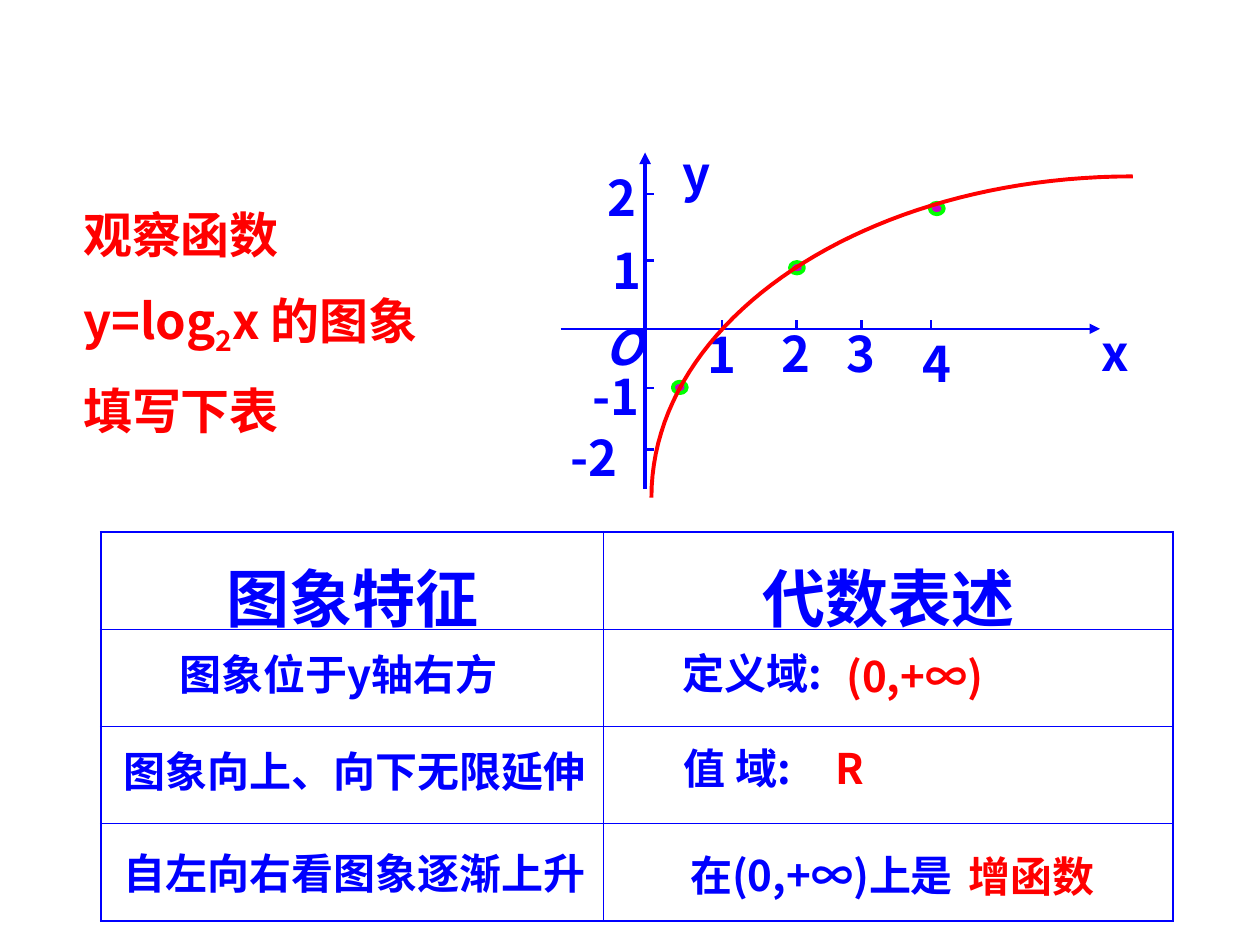
from lxml.etree import SubElement
from pptx import Presentation
from pptx.dml.color import RGBColor
from pptx.enum.shapes import MSO_CONNECTOR, MSO_SHAPE
from pptx.enum.text import MSO_ANCHOR, MSO_AUTO_SIZE, PP_ALIGN
from pptx.oxml.ns import qn
from pptx.util import Inches, Pt

COLORS = {"blue": "0000FF", "red": "FF0000", "green": "00FF00", "purple": "CC00CC"}
FONT = "Noto Sans CJK SC"
ORIGIN_X, ORIGIN_Y = 5.12, 2.61
TICK = 0.07


def rgb(name):
    """Return the named palette colour."""
    return RGBColor.from_string(COLORS[name])


def style_runs(paragraph, size, color, italic=False):
    """Format every run of a paragraph in the slide's bold typeface."""
    for run in paragraph.runs:
        run.font.size = Pt(size)
        run.font.bold = True
        run.font.italic = italic
        run.font.color.rgb = rgb(color)
        run.font.name = FONT
        SubElement(run.font._element, qn("a:ea"), typeface=FONT)


def add_task(slide):
    """Fill the title with the task and its logarithm subscript."""
    task = slide.shapes.title
    task.left, task.top = Inches(0.56), Inches(1.39)
    task.width, task.height = Inches(3.15), Inches(2.15)
    frame = task.text_frame
    frame.text = "观察函数\vy=log"
    frame.word_wrap = True
    frame.auto_size = MSO_AUTO_SIZE.NONE
    frame.vertical_anchor = MSO_ANCHOR.TOP
    paragraph = frame.paragraphs[0]
    paragraph.alignment = PP_ALIGN.LEFT
    paragraph.line_spacing = 1.4
    base = paragraph.add_run()
    base.text = "2"
    paragraph.add_run().text = "x 的图象"
    paragraph.add_line_break()
    paragraph.add_run().text = "填写下表"
    style_runs(paragraph, 28, "red")
    base.font._element.set("baseline", "-25000")


def add_label(slide, text, left, top, width, size=28, color="blue",
              align=PP_ALIGN.LEFT, italic=False):
    """Add a one-line text box."""
    height = 0.57 if size == 28 else 0.5
    label = slide.shapes.add_textbox(Inches(left), Inches(top), Inches(width), Inches(height))
    frame = label.text_frame
    frame.text = text
    frame.word_wrap = True
    frame.auto_size = MSO_AUTO_SIZE.SHAPE_TO_FIT_TEXT
    frame.paragraphs[0].alignment = align
    style_runs(frame.paragraphs[0], size, color, italic)


def add_line(slide, start, end, weight=1.5, arrow=False):
    """Add a straight blue line, with an arrowhead at its end if wanted."""
    line = slide.shapes.add_connector(
        MSO_CONNECTOR.STRAIGHT, *(Inches(value) for value in (*start, *end)))
    line.line.color.rgb = rgb("blue")
    line.line.width = Pt(weight)
    if arrow:
        SubElement(line.line._get_or_add_ln(), qn("a:tailEnd"), type="triangle")
    SubElement(line._element.spPr, qn("a:effectLst"))


def add_point(slide, left, top):
    """Mark a point of the graph."""
    point = slide.shapes.add_shape(
        MSO_SHAPE.OVAL, Inches(left), Inches(top), Inches(0.11), Inches(0.09))
    point.shadow.inherit = False
    point.fill.solid()
    point.fill.fore_color.rgb = rgb("purple")
    point.line.color.rgb = rgb("green")
    point.line.width = Pt(2.25)


def add_curve(slide, controls, steps=48):
    """Draw a cubic Bézier curve through its sampled points."""
    def position(t):
        weights = ((1 - t) ** 3, 3 * t * (1 - t) ** 2, 3 * t * t * (1 - t), t ** 3)
        return tuple(Inches(sum(w * c for w, c in zip(weights, axis)))
                     for axis in zip(*controls))

    samples = [position(step / steps) for step in range(steps + 1)]
    builder = slide.shapes.build_freeform(*samples[0])
    builder.add_line_segments(samples[1:], close=False)
    curve = builder.convert_to_shape()
    curve.shadow.inherit = False
    curve.fill.background()
    curve.line.color.rgb = rgb("red")
    curve.line.width = Pt(2.25)


def add_axes(slide):
    """Draw the two axes with their ticks and labels."""
    add_line(slide, (4.45, ORIGIN_Y), (8.73, ORIGIN_Y), arrow=True)
    add_line(slide, (ORIGIN_X, 3.88), (ORIGIN_X, 1.21), 2.25, arrow=True)
    for x in (5.73, 6.32, 6.84, 7.39):
        add_line(slide, (x, ORIGIN_Y), (x, ORIGIN_Y - TICK))
    for y in (1.54, 2.07, 3.08, 3.57):
        add_line(slide, (ORIGIN_X, y), (ORIGIN_X + TICK, y))
    for text, left, top, width in (
            ("2", 4.72, 1.28, 0.67), ("1", 4.76, 1.86, 0.31),
            ("-1", 4.6, 2.86, 0.95), ("-2", 4.43, 3.34, 0.8),
            ("1", 5.52, 2.53, 0.31), ("2", 6.1, 2.52, 0.31),
            ("3", 6.62, 2.52, 0.31), ("4", 7.22, 2.6, 0.31),
            ("y", 5.32, 1.09, 0.31), ("x", 8.64, 2.51, 0.31)):
        add_label(slide, text, left, top, width)
    add_label(slide, "O", 4.7, 2.46, 0.72, italic=True)


def set_borders(cell, weights):
    """Give the cell a blue border of the given weight on each side."""
    properties = cell._tc.get_or_add_tcPr()
    for index, (side, weight) in enumerate(weights.items()):
        border = properties.makeelement(qn(f"a:ln{side}"), {"w": str(Pt(weight))})
        fill = SubElement(border, qn("a:solidFill"))
        SubElement(fill, qn("a:srgbClr"), val=COLORS["blue"])
        properties.insert(index, border)


def add_feature_table(slide, headings, row_count=4):
    """Add the ruled table with its two headings."""
    table = slide.shapes.add_table(
        row_count, len(headings), Inches(0.8), Inches(4.22), Inches(8.51), Inches(3.09)).table
    for column, width in zip(table.columns, (3.99, 4.52)):
        column.width = Inches(width)
    last_row, last_column = row_count - 1, len(headings) - 1
    for r in range(row_count):
        for c, heading in enumerate(headings):
            cell = table.cell(r, c)
            cell.fill.background()
            outer = {"L": c == 0, "R": c == last_column, "T": r == 0, "B": r == last_row}
            set_borders(cell, {side: 1.08 if edge else 0.45 for side, edge in outer.items()})
            if r == 0:
                cell.text_frame.text = heading
                cell.vertical_anchor = MSO_ANCHOR.MIDDLE
                cell.margin_top, cell.margin_bottom = Inches(0.14), Inches(0.02)
                cell.text_frame.paragraphs[0].alignment = PP_ALIGN.CENTER
                style_runs(cell.text_frame.paragraphs[0], 36, "blue")


def add_statements(slide):
    """Place the features and their algebraic statements in the table."""
    for text, left, top, width, color, align in (
            ("定义域:", 5.32, 5.09, 1.9, "blue", PP_ALIGN.LEFT),
            ("(0,+∞)", 6.27, 5.11, 1.98, "red", PP_ALIGN.CENTER),
            ("值 域:", 5.33, 5.84, 1.76, "blue", PP_ALIGN.LEFT),
            ("R", 6.53, 5.84, 1.22, "red", PP_ALIGN.LEFT),
            ("增函数", 7.34, 6.7, 1.7, "red", PP_ALIGN.CENTER),
            ("在(0,+∞)上是", 4.93, 6.69, 3.18, "blue", PP_ALIGN.CENTER),
            ("图象位于y轴右方", 0.8, 5.1, 3.78, "blue", PP_ALIGN.CENTER),
            ("图象向上、向下无限延伸", 0.35, 5.87, 4.92, "blue", PP_ALIGN.CENTER),
            ("自左向右看图象逐渐上升", 0.37, 6.68, 4.88, "blue", PP_ALIGN.CENTER)):
        add_label(slide, text, left, top, width, 24, color, align)


def main():
    """Build the slide on the graph of the logarithm and save it."""
    deck = Presentation()
    deck.slide_width, deck.slide_height = Inches(10), Inches(7.5)
    slide = deck.slides.add_slide(deck.slide_layouts[5])
    add_task(slide)
    for left, top in ((7.38, 1.61), (6.27, 2.08), (5.34, 3.03)):
        add_point(slide, left, top)
    add_axes(slide)
    add_curve(slide, ((5.17, 3.95), (5.17, 2.53), (6.88, 1.4), (8.99, 1.4)))
    add_feature_table(slide, ("图象特征", "代数表述"))
    add_statements(slide)
    deck.save("out.pptx")


if __name__ == "__main__":
    main()
